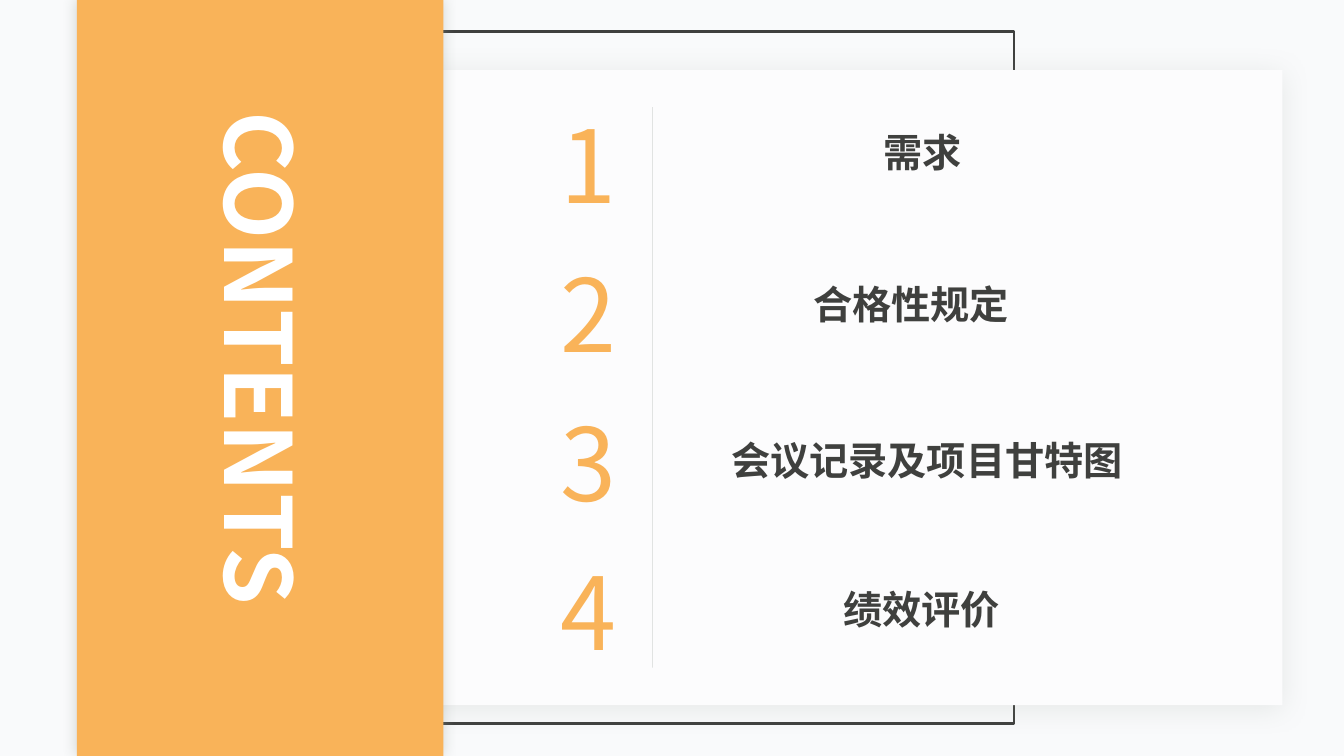
from dataclasses import dataclass

from lxml import etree
from pptx import Presentation
from pptx.dml.color import RGBColor
from pptx.enum.shapes import MSO_CONNECTOR, MSO_SHAPE
from pptx.enum.text import MSO_ANCHOR, MSO_AUTO_SIZE, PP_ALIGN
from pptx.oxml.ns import qn
from pptx.shapes.autoshape import Shape
from pptx.slide import Slide
from pptx.util import Pt

RECTANGLE = MSO_SHAPE.RECTANGLE
STRAIGHT = MSO_CONNECTOR.STRAIGHT
TOP = MSO_ANCHOR.TOP
FIT_TEXT = MSO_AUTO_SIZE.SHAPE_TO_FIT_TEXT
LEFT = PP_ALIGN.LEFT
CENTER = PP_ALIGN.CENTER

PAPER = RGBColor(0xF9, 0xFA, 0xFB)
CARD = RGBColor(0xFC, 0xFC, 0xFD)
INK = RGBColor(0x3F, 0x40, 0x3E)
ORANGE = RGBColor(0xF9, 0xB3, 0x59)
SAGE = RGBColor(0x96, 0x9F, 0x98)
WHITE = RGBColor(0xFF, 0xFF, 0xFF)

FONT = "Noto Sans CJK SC"
NUMBER_TOP = 69.8
NUMBER_STEP = 106.35


@dataclass(frozen=True)
class Frame:
    left: float
    top: float
    width: float
    height: float


@dataclass(frozen=True)
class TextStyle:
    size: float
    color: RGBColor
    bold: bool = False
    align: PP_ALIGN = CENTER
    spacing: float = 0


@dataclass(frozen=True)
class Shadow:
    opacity: int
    blur: float
    distance: float
    angle: int


@dataclass(frozen=True)
class Chapter:
    title: str
    center: float
    top: float
    width: float


TITLE = TextStyle(28, INK, bold=True)
NUMBER = TextStyle(72, ORANGE, spacing=-3)
BANNER = TextStyle(66, WHITE, bold=True, align=LEFT)

CHAPTERS = [
    Chapter("需求", 659.2, 87.8, 64),
    Chapter("合格性规定", 650.9, 196.6, 148.4),
    Chapter("会议记录及项目甘特图", 662.1, 308.2, 290.2),
    Chapter("绩效评价", 658.4, 414.7, 120.2),
]


def add_rectangle(page: Slide, frame: Frame) -> Shape:
    box = page.shapes.add_shape(
        RECTANGLE, Pt(frame.left), Pt(frame.top), Pt(frame.width), Pt(frame.height)
    )
    box.shadow.inherit = False
    return box


def add_panel(page: Slide, frame: Frame, color: RGBColor, shadow: Shadow) -> None:
    """Add a borderless filled rectangle that casts a soft shadow."""
    box = add_rectangle(page, frame)
    box.fill.solid()
    box.fill.fore_color.rgb = color
    box.line.fill.background()
    effects = box.element.spPr.find(qn("a:effectLst"))
    outer = etree.SubElement(
        effects,
        qn("a:outerShdw"),
        blurRad=str(Pt(shadow.blur)),
        dist=str(Pt(shadow.distance)),
        dir=str(shadow.angle * 60000),
        algn="ctr",
        rotWithShape="0",
    )
    add_tint(outer, SAGE, shadow.opacity)


def add_tint(parent: etree._Element, color: RGBColor, opacity: int) -> None:
    """Append a colour with the given opacity in percent."""
    tint = etree.SubElement(parent, qn("a:srgbClr"), val=str(color))
    etree.SubElement(tint, qn("a:alpha"), val=str(opacity * 1000))


def add_outline(page: Slide, frame: Frame) -> None:
    box = add_rectangle(page, frame)
    box.fill.background()
    box.line.color.rgb = INK
    box.line.width = Pt(2)


def add_divider(page: Slide, x: float, top: float, bottom: float) -> None:
    divider = page.shapes.add_connector(STRAIGHT, Pt(x), Pt(top), Pt(x), Pt(bottom))
    divider.line.width = Pt(0.5)
    divider.line.fill.solid()
    fill = divider.line._get_or_add_ln().find(qn("a:solidFill"))
    for child in list(fill):
        fill.remove(child)
    add_tint(fill, SAGE, 40)
    etree.SubElement(divider._element.spPr, qn("a:effectLst"))


def add_text(
    page: Slide, text: str, frame: Frame, style: TextStyle, rotation: float = 0
) -> None:
    box = page.shapes.add_textbox(
        Pt(frame.left), Pt(frame.top), Pt(frame.width), Pt(frame.height)
    )
    box.rotation = rotation
    body = box.text_frame
    body_format = {
        "word_wrap": False,
        "auto_size": FIT_TEXT,
        "vertical_anchor": TOP,
        "margin_left": Pt(3.6),
        "margin_top": Pt(3.6),
        "margin_right": Pt(3.6),
        "margin_bottom": Pt(3.6),
    }
    for name, value in body_format.items():
        setattr(body, name, value)
    para = body.paragraphs[0]
    para.alignment = style.align
    span = para.add_run()
    span.text = text
    font_format = {"name": FONT, "size": Pt(style.size), "bold": style.bold}
    for name, value in font_format.items():
        setattr(span.font, name, value)
    span.font.color.rgb = style.color
    properties = span._r.get_or_add_rPr()
    etree.SubElement(properties, qn("a:ea"), typeface=FONT)
    if style.spacing:
        properties.set("spc", str(round(style.spacing * 100)))


def main() -> None:
    deck = Presentation()
    deck.slide_width = Pt(960)
    deck.slide_height = Pt(540)
    page = deck.slides.add_slide(deck.slide_layouts[6])
    page.background.fill.solid()
    page.background.fill.fore_color.rgb = PAPER

    add_outline(page, Frame(182.9, 22.3, 541.4, 494.6))
    add_panel(page, Frame(180, 50.2, 736, 453.6), CARD, Shadow(20, 20, 3, 90))
    add_divider(page, 466, 76.5, 476.8)
    for index, chapter in enumerate(CHAPTERS):
        title_left = chapter.center - chapter.width / 2
        title_frame = Frame(title_left, chapter.top, chapter.width, 41)
        add_text(page, chapter.title, title_frame, TITLE)
        number_top = NUMBER_TOP + index * NUMBER_STEP
        add_text(page, str(index + 1), Frame(396.7, number_top, 45.4, 92.9), NUMBER)
    add_panel(page, Frame(55, 0, 261.8, 540), ORANGE, Shadow(40, 10, 0, 0))
    add_text(page, "CONTENTS", Frame(0.7, 218.9, 371.5, 86.4), BANNER, rotation=90)

    deck.save("out.pptx")


if __name__ == "__main__":
    main()
